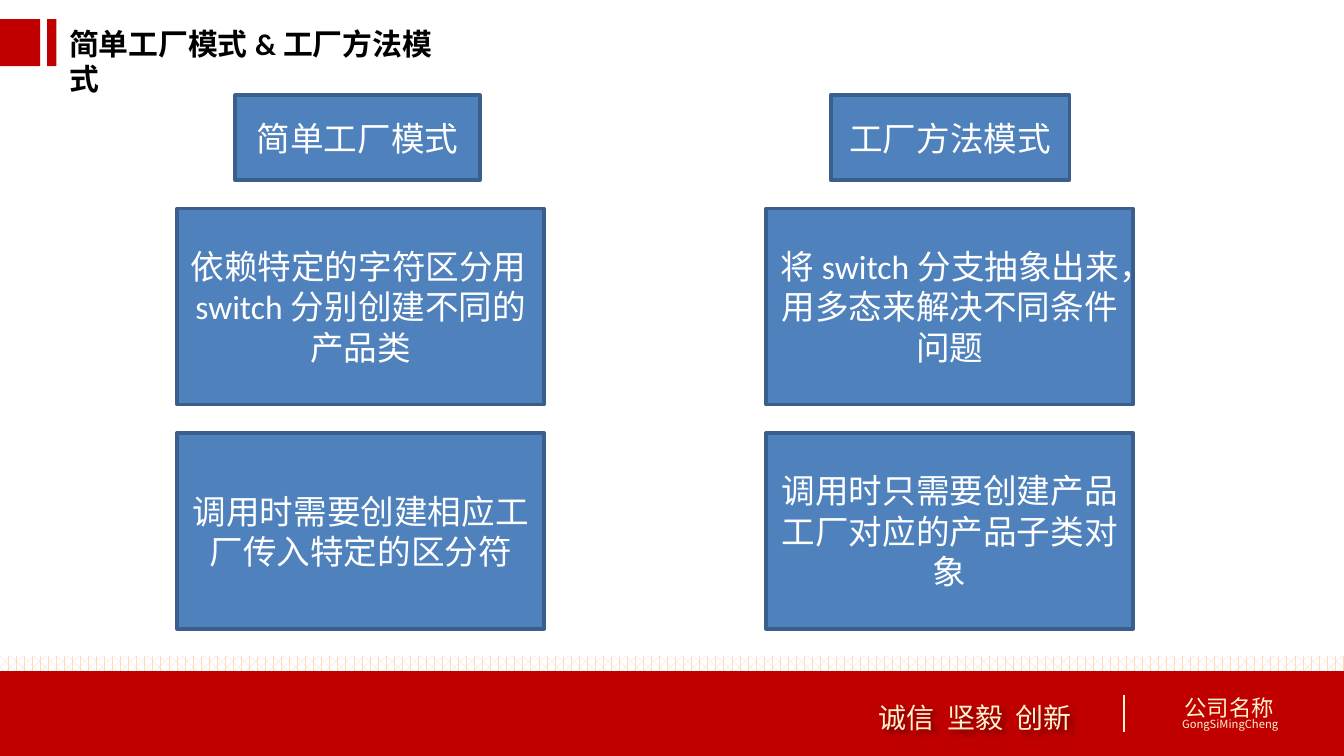
from lxml.etree import SubElement
from pptx import Presentation
from pptx.dml.color import RGBColor
from pptx.enum.dml import MSO_PATTERN
from pptx.enum.lang import MSO_LANGUAGE_ID as Lang
from pptx.enum.shapes import MSO_CONNECTOR, MSO_SHAPE
from pptx.enum.text import MSO_ANCHOR as Anchor, PP_ALIGN as Align
from pptx.oxml.ns import qn
from pptx.util import Pt

RED, CREAM, BLUE, NAVY = "C00000", "FFF2CC", "4F81BD", "3A5F8C"
PEACH, WHITE, BLACK = "FCDBC0", "FFFFFF", "000000"
LATIN, CJK = "Calibri", "Noto Sans CJK SC"


def color(hex_code):
    return RGBColor.from_string(hex_code)


def write(frame, text, size=18, ink=WHITE, latin=LATIN, east_asian=CJK,
          bold=False, align=Align.LEFT, anchor=Anchor.TOP, wrap=True):
    frame.word_wrap = wrap
    frame.vertical_anchor = anchor
    paragraph = frame.paragraphs[0]
    paragraph.alignment = align
    run = paragraph.add_run()
    run.text = text
    font = run.font
    font.size, font.bold, font.name = Pt(size), bold, latin
    font.color.rgb = color(ink)
    font.language_id = Lang.SIMPLIFIED_CHINESE
    SubElement(font._element, qn("a:ea"), typeface=east_asian)
    return paragraph


class Deck:
    def __init__(self, width, height):
        self.prs = Presentation()
        self.prs.slide_width, self.prs.slide_height = Pt(width), Pt(height)
        self.slide = self.prs.slides.add_slide(self.prs.slide_layouts[6])

    def block(self, left, top, width, height, fill=RED):
        block = self.slide.shapes.add_shape(
            MSO_SHAPE.RECTANGLE, Pt(left), Pt(top), Pt(width), Pt(height))
        block.shadow.inherit = False
        block.fill.solid()
        block.fill.fore_color.rgb = color(fill)
        block.line.fill.background()
        return block

    def dotted_band(self, left, top, width, height):
        fill = self.block(left, top, width, height).fill
        fill.patterned()
        fill.pattern = MSO_PATTERN.PERCENT_60
        fill.fore_color.rgb, fill.back_color.rgb = color(PEACH), color(WHITE)

    def card(self, left, top, width, height, text):
        card = self.block(left, top, width, height, BLUE)
        card.line.color.rgb, card.line.width = color(NAVY), Pt(2)
        write(card.text_frame, text, align=Align.CENTER, anchor=Anchor.MIDDLE)

    def label(self, left, top, width, height, text, **style):
        label = self.slide.shapes.add_textbox(
            Pt(left), Pt(top), Pt(width), Pt(height))
        return label, write(label.text_frame, text, **style)

    def slogan(self, left, top, width, height, words, step):
        """Sets the words at equal tab stops and gives them a soft shadow."""
        label, paragraph = self.label(left, top, width, height, "\t".join(words),
                                      size=15, ink=CREAM, latin="Noto Sans CJK JP",
                                      east_asian="Noto Sans CJK JP")
        stops = SubElement(paragraph._p.get_or_add_pPr(), qn("a:tabLst"))
        for number in range(1, len(words)):
            SubElement(stops, qn("a:tab"), pos=str(Pt(step * number)), algn="l")
        effects = SubElement(label._element.spPr, qn("a:effectLst"))
        shadow = SubElement(effects, qn("a:outerShdw"), blurRad=str(Pt(3)),
                            dist=str(Pt(3)), dir="2700000", algn="tl")
        shade = SubElement(shadow, qn("a:srgbClr"), val=BLACK)
        SubElement(shade, qn("a:alpha"), val="40000")

    def divider(self, x, top, bottom):
        divider = self.slide.shapes.add_connector(
            MSO_CONNECTOR.STRAIGHT, Pt(x), Pt(top), Pt(x), Pt(bottom))
        divider.line.color.rgb, divider.line.width = color(CREAM), Pt(1)
        SubElement(divider._element.spPr, qn("a:effectLst"))


def main():
    deck = Deck(720, 405)
    deck.label(30, 10, 222, 26.6, "简单工厂模式&工厂方法模式",
               size=16, ink=BLACK, bold=True)
    deck.block(25.3, 10.2, 5, 25.2)
    deck.block(0, 10.2, 21.6, 25.2)

    deck.dotted_band(0, 351.4, 720, 13)
    deck.block(0, 359.5, 720, 45.5)
    deck.label(627.5, 368.6, 63.5, 21.6, "公司名称",
               size=12, ink=CREAM, latin=CJK, wrap=False)
    deck.label(626.2, 381, 66, 14.4, "GongSiMingCheng", size=6, ink=CREAM,
               latin="Noto Sans CJK TC", east_asian="Noto Sans CJK TC", wrap=False)
    deck.divider(602, 372.2, 392.4)
    deck.slogan(463.7, 371.5, 149, 25.2, ["诚信", "坚毅", "创新"], step=36.7)

    # heading left and width, card left, heading, card texts
    columns = [
        (126, 131, 95, "简单工厂模式",
         ["依赖特定的字符区分用switch分别创建不同的产品类",
          "调用时需要创建相应工厂传入特定的区分符"]),
        (445, 128, 410.5, "工厂方法模式",
         ["将switch分支抽象出来，用多态来解决不同条件问题",
          "调用时只需要创建产品工厂对应的产品子类对象"]),
    ]
    for heading_left, heading_width, card_left, heading, points in columns:
        deck.card(heading_left, 51, heading_width, 45.5, heading)
        for row, point in enumerate(points):
            deck.card(card_left, 111.7 + 120.2 * row, 196.5, 105, point)

    deck.prs.save("out.pptx")


if __name__ == "__main__":
    main()
